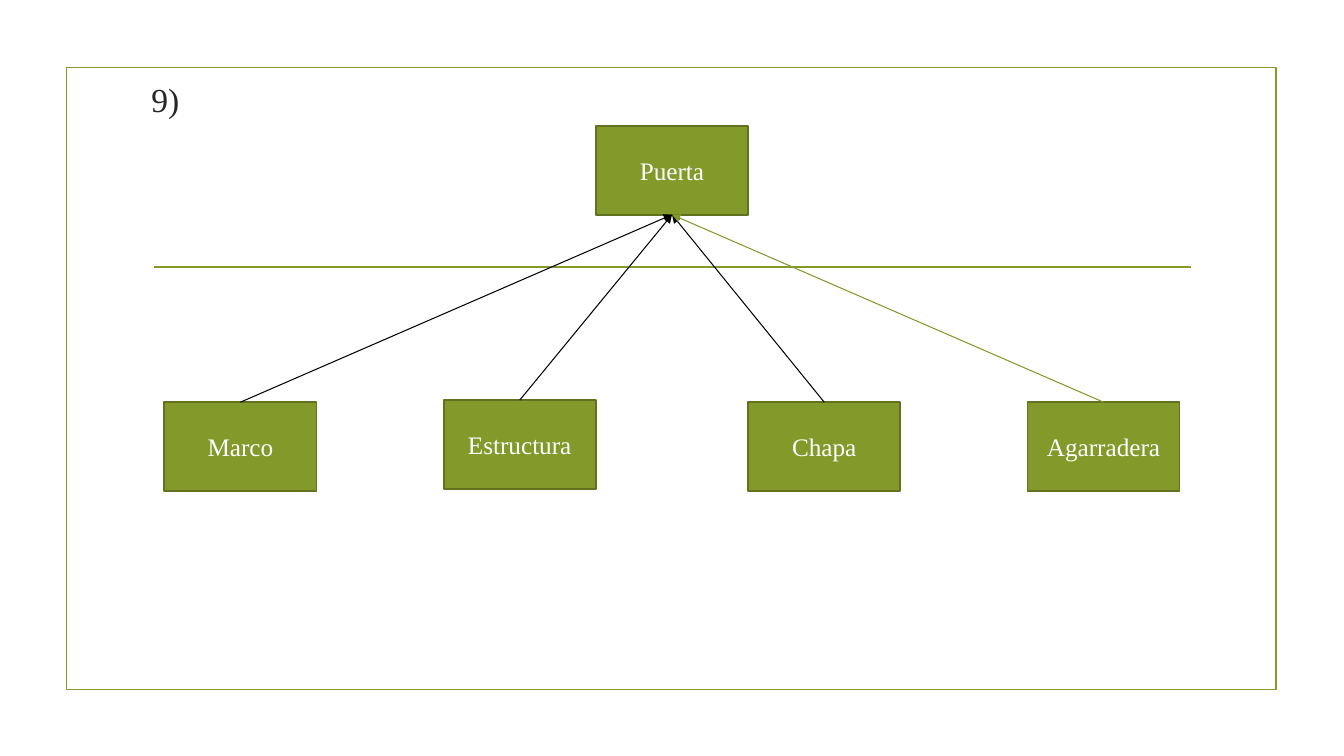
import pptx
import pptx.util
import pptx.dml.color
import pptx.enum.shapes
import pptx.enum.text
import pptx.oxml.ns
import lxml.etree

Inches = pptx.util.Inches
COLORS = {
    "green": "83992A",
    "border": "61711F",
    "black": "000000",
    "white": "FFFFFF",
    "title": "262626",
}
BOX_WIDTH, BOX_HEIGHT = 1.51, 0.88
TOP, BOTTOM = 0, 2


class DiagramSlide:
    font = "Times New Roman"

    def __init__(self, slide):
        self.shapes = slide.shapes

    def color(self, name):
        return pptx.dml.color.RGBColor.from_string(COLORS[name])

    def caption(self, shape, text, size, color):
        frame = shape.text_frame
        frame.text = text
        frame.word_wrap = True
        frame.vertical_anchor = pptx.enum.text.MSO_ANCHOR.MIDDLE
        paragraph = frame.paragraphs[0]
        paragraph.alignment = pptx.enum.text.PP_ALIGN.CENTER
        font = paragraph.runs[0].font
        font.name = self.font
        font.size = pptx.util.Pt(size)
        font.color.rgb = self.color(color)

    def outline(self, shape, color, width):
        shape.line.color.rgb = self.color(color)
        shape.line.width = pptx.util.Pt(width)

    def rectangle(self, left, top, width, height, border, fill=None):
        shape = self.shapes.add_shape(
            pptx.enum.shapes.MSO_SHAPE.RECTANGLE,
            Inches(left), Inches(top), Inches(width), Inches(height))
        shape.shadow.inherit = False
        if fill:
            shape.fill.solid()
            shape.fill.fore_color.rgb = self.color(fill)
        else:
            shape.fill.background()
        self.outline(shape, border, 1.25)
        return shape

    def box(self, text, left, top):
        shape = self.rectangle(left, top, BOX_WIDTH, BOX_HEIGHT, "border", "green")
        self.caption(shape, text, 18, "white")
        return shape

    def title(self, text, left, top, width, height):
        label = self.shapes.add_textbox(
            Inches(left), Inches(top), Inches(width), Inches(height))
        self.caption(label, text, 24, "title")

    def line(self, start, end, color, width):
        connector = self.shapes.add_connector(
            pptx.enum.shapes.MSO_CONNECTOR.STRAIGHT,
            *(Inches(value) for value in (*start, *end)))
        self.outline(connector, color, width)
        lxml.etree.SubElement(
            connector._element.spPr, pptx.oxml.ns.qn("a:effectLst"))
        return connector

    def arrow(self, part, whole, color):
        connector = self.line((0, 0), (0, 0), color, 0.75)
        connector.begin_connect(part, TOP)
        connector.end_connect(whole, BOTTOM)
        outline = connector._element.spPr.find(pptx.oxml.ns.qn("a:ln"))
        lxml.etree.SubElement(
            outline, pptx.oxml.ns.qn("a:tailEnd"), type="triangle")


def main():
    presentation = pptx.Presentation()
    presentation.slide_width = Inches(13.33)
    presentation.slide_height = Inches(7.5)
    diagram = DiagramSlide(
        presentation.slides.add_slide(presentation.slide_layouts[6]))

    diagram.rectangle(0.66, 0.67, 12, 6.17, "green")
    diagram.line((1.53, 2.65), (11.81, 2.65), "green", 1.25)
    diagram.title("9)", 0.66, 0.27, 1.96, 1.43)

    door = diagram.box("Puerta", 5.91, 1.25)
    door_parts = [
        ("Marco", 1.63, 3.99, "black"),
        ("Estructura", 4.4, 3.97, "black"),
        ("Chapa", 7.42, 3.99, "black"),
        ("Agarradera", 10.19, 3.99, "green"),
    ]
    for name, left, top, arrow_color in door_parts:
        diagram.arrow(diagram.box(name, left, top), door, arrow_color)

    presentation.save("out.pptx")


if __name__ == "__main__":
    main()
